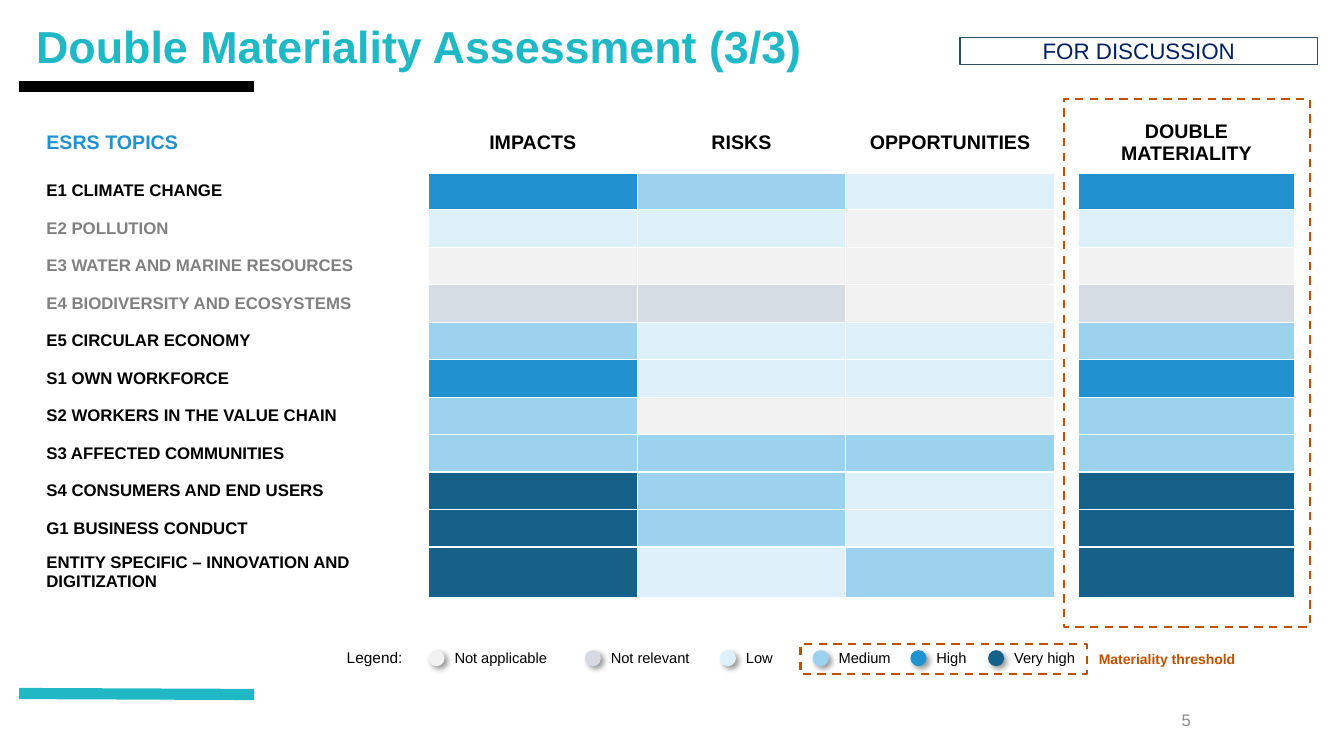
from dataclasses import dataclass
from enum import IntEnum

import pptx
import pptx.dml.color
import pptx.enum.dml
import pptx.enum.shapes
import pptx.enum.text
import pptx.oxml
import pptx.oxml.ns
import pptx.util
from lxml import etree

Inches = pptx.util.Inches
Pt = pptx.util.Pt
RGBColor = pptx.dml.color.RGBColor
Align = pptx.enum.text.PP_ALIGN
Anchor = pptx.enum.text.MSO_ANCHOR
Shape = pptx.enum.shapes.MSO_SHAPE
qn = pptx.oxml.ns.qn

TEAL = RGBColor(0x21, 0xB8, 0xC6)
BLACK = RGBColor(0, 0, 0)
WHITE = RGBColor(0xFF, 0xFF, 0xFF)
BLUE = RGBColor(0x21, 0x91, 0xCF)
GREY = RGBColor(0x80, 0x80, 0x80)
NUMBER_GREY = RGBColor(0x8C, 0x8C, 0x8C)
ORANGE = RGBColor(0xBF, 0x50, 0x00)
NAVY = RGBColor(0x00, 0x20, 0x60)
SLATE = RGBColor(0x28, 0x4F, 0x64)


class Level(IntEnum):
    NOT_APPLICABLE = 0
    NOT_RELEVANT = 1
    LOW = 2
    MEDIUM = 3
    HIGH = 4
    VERY_HIGH = 5


LEVEL_COLORS = {
    Level.NOT_APPLICABLE: RGBColor(0xF2, 0xF2, 0xF2),
    Level.NOT_RELEVANT: RGBColor(0xD6, 0xDC, 0xE4),
    Level.LOW: RGBColor(0xDE, 0xF0, 0xFA),
    Level.MEDIUM: RGBColor(0x9D, 0xD2, 0xEF),
    Level.HIGH: BLUE,
    Level.VERY_HIGH: RGBColor(0x16, 0x61, 0x8A),
}


@dataclass(frozen=True)
class Topic:
    name: str
    impacts: Level
    risks: Level
    opportunities: Level

    @property
    def double_materiality(self) -> Level:
        return max(self.impacts, self.risks, self.opportunities)


@dataclass(frozen=True)
class LegendEntry:
    level: Level
    label: str
    left: float
    width: float = 1.3


@dataclass(frozen=True)
class Style:
    size: float
    color: RGBColor = BLACK
    bold: bool = False
    align: Align = Align.LEFT


NA, NR, LOW, MEDIUM, HIGH, VERY_HIGH = Level
TOPICS = [
    Topic("E1 CLIMATE CHANGE", HIGH, MEDIUM, LOW),
    Topic("E2 POLLUTION", LOW, LOW, NA),
    Topic("E3 WATER AND MARINE RESOURCES", NA, NA, NA),
    Topic("E4 BIODIVERSITY AND ECOSYSTEMS", NR, NR, NA),
    Topic("E5 CIRCULAR ECONOMY", MEDIUM, LOW, LOW),
    Topic("S1 OWN WORKFORCE", HIGH, LOW, LOW),
    Topic("S2 WORKERS IN THE VALUE CHAIN", MEDIUM, NA, NA),
    Topic("S3 AFFECTED COMMUNITIES", MEDIUM, MEDIUM, MEDIUM),
    Topic("S4 CONSUMERS AND END USERS", VERY_HIGH, MEDIUM, LOW),
    Topic("G1 BUSINESS CONDUCT", VERY_HIGH, MEDIUM, LOW),
    Topic("ENTITY SPECIFIC – INNOVATION AND DIGITIZATION", VERY_HIGH, LOW, MEDIUM),
]
LEGEND = [
    LegendEntry(NA, "Not applicable", 4.25, 1.54),
    LegendEntry(NR, "Not relevant", 5.8),
    LegendEntry(LOW, "Low", 7.14),
    LegendEntry(MEDIUM, "Medium", 8.06),
    LegendEntry(HIGH, "High", 9.03),
    LegendEntry(VERY_HIGH, "Very high", 9.8),
]
HEADINGS = ["ESRS TOPICS", "", "IMPACTS", "RISKS", "OPPORTUNITIES", "", "DOUBLE MATERIALITY"]
COLUMN_WIDTHS = [3.65, 0.23, 2.07, 2.07, 2.07, 0.23, 2.14]
ROW_HEIGHTS = [0.59] + [3.72 / 10] * 10 + [0.47]
DOT = 0.16


def write(frame, text: str, style: Style):
    paragraph = frame.paragraphs[0]
    paragraph.alignment = style.align
    font = paragraph.font
    font.name, font.size, font.bold = "Arial", Pt(style.size), style.bold
    font.color.rgb = style.color
    if text:
        paragraph.add_run().text = text
    else:
        etree.SubElement(paragraph._p, qn("a:endParaRPr"), sz=str(int(style.size * 100)))
    return paragraph


def add_text(shapes, text: str, left: float, top: float, width: float, height: float,
             style: Style, anchor: Anchor = Anchor.TOP):
    box = shapes.add_textbox(Inches(left), Inches(top), Inches(width), Inches(height))
    box.text_frame.word_wrap = True
    box.text_frame.vertical_anchor = anchor
    return write(box.text_frame, text, style)


def add_bar(page, top: float, end_top: float, color: RGBColor) -> None:
    bar = page.shapes.add_connector(pptx.enum.shapes.MSO_CONNECTOR.STRAIGHT,
                                    Inches(0.19), Inches(top), Inches(2.52), Inches(end_top))
    bar.line.color.rgb, bar.line.width = color, Pt(8)
    etree.SubElement(bar._element.spPr, qn("a:effectLst"))


def add_frame(page, left: float, top: float, width: float, height: float,
              color: RGBColor, weight: float, dashed: bool = True):
    frame = page.shapes.add_shape(Shape.RECTANGLE, Inches(left), Inches(top),
                                  Inches(width), Inches(height))
    frame.shadow.inherit = False
    frame.fill.background()
    frame.line.color.rgb, frame.line.width = color, Pt(weight)
    if dashed:
        frame.line.dash_style = pptx.enum.dml.MSO_LINE.DASH
    return frame


def set_borders(cell, top: float, bottom: float) -> None:
    properties = cell._tc.get_or_add_tcPr()
    weights = {"a:lnL": 1, "a:lnR": 1, "a:lnT": top, "a:lnB": bottom}
    for position, (tag, weight) in enumerate(weights.items()):
        line = etree.Element(qn(tag), w=str(Pt(weight)))
        fill = etree.SubElement(line, qn("a:solidFill"))
        etree.SubElement(fill, qn("a:srgbClr"), val=str(WHITE))
        properties.insert(position, line)


def fill_cell(cell, text: str, style: Style, row: int, level: Level | None = None) -> None:
    cell.vertical_anchor = Anchor.MIDDLE
    write(cell.text_frame, text, style)
    if level is None:
        cell.fill.background()
    else:
        cell.fill.solid()
        cell.fill.fore_color.rgb = LEVEL_COLORS[level]
    set_borders(cell, top=3 if row == 1 else 1, bottom=3 if row == 0 else 1)


def add_assessment(page) -> None:
    table = page.shapes.add_table(len(ROW_HEIGHTS), len(COLUMN_WIDTHS), Inches(0.36), Inches(1.12),
                                  Inches(sum(COLUMN_WIDTHS)), Inches(sum(ROW_HEIGHTS))).table
    table.horz_banding = False
    for column, width in zip(table.columns, COLUMN_WIDTHS):
        column.width = Inches(width)
    for row, height in zip(table.rows, ROW_HEIGHTS):
        row.height = Inches(height)
    for index, heading in enumerate(HEADINGS):
        style = Style(14, BLACK, True, Align.CENTER) if index else Style(14, BLUE, True)
        fill_cell(table.cell(0, index), heading, style, 0)
    for row, topic in enumerate(TOPICS, start=1):
        result = topic.double_materiality
        style = Style(12, BLACK if result >= MEDIUM else GREY, True)
        levels = [None, None, topic.impacts, topic.risks, topic.opportunities, None, result]
        for index, level in enumerate(levels):
            fill_cell(table.cell(row, index), "" if index else topic.name, style, row, level)


def add_dot(shapes, left: float, level: Level) -> None:
    dot = shapes.add_shape(Shape.OVAL, Inches(left), Inches(6.45), Inches(DOT), Inches(DOT))
    dot.shadow.inherit = False
    dot.fill.solid()
    dot.fill.fore_color.rgb = LEVEL_COLORS[level]
    dot.line.fill.background()
    effects = dot._element.spPr.find(qn("a:effectLst"))
    shadow = etree.SubElement(effects, qn("a:outerShdw"), blurRad=str(Pt(4)), dist=str(Pt(3)),
                              dir=str(45 * 60000), algn="tl", rotWithShape="0")
    color = etree.SubElement(shadow, qn("a:srgbClr"), val=str(BLACK))
    etree.SubElement(color, qn("a:alpha"), val="40000")


def add_legend(page) -> None:
    shapes = page.shapes.add_group_shape().shapes
    add_text(shapes, "Legend:", 3.34, 6.38, 3.92, 0.29, Style(11))
    for entry in LEGEND:
        add_dot(shapes, entry.left, entry.level)
        add_text(shapes, entry.label, entry.left + DOT, 6.39, entry.width, 0.28, Style(10.5))


def main() -> None:
    deck = pptx.Presentation()
    deck.slide_width, deck.slide_height = Inches(13.33), Inches(7.5)
    page = deck.slides.add_slide(deck.slide_layouts[6])
    add_bar(page, 6.88, 6.89, TEAL)
    title = add_text(page.shapes, "Double Materiality Assessment (3/3)", 0.26, 0.11, 11.89, 0.76,
                     Style(32, TEAL, True), Anchor.MIDDLE)
    title.line_spacing = 0.9
    add_bar(page, 0.86, 0.86, BLACK)
    add_text(page.shapes, "5", 8.91, 6.94, 3, 0.4,
             Style(12, NUMBER_GREY, align=Align.RIGHT), Anchor.MIDDLE)
    add_assessment(page)
    add_frame(page, 10.55, 0.98, 2.44, 5.24, ORANGE, 1.5)
    add_legend(page)
    add_frame(page, 7.94, 6.39, 2.84, 0.3, ORANGE, 1.5)
    add_text(page.shapes, "Materiality threshold", 10.8, 6.4, 2.46, 0.27, Style(10, ORANGE, True))
    status = add_frame(page, 9.52, 0.37, 3.55, 0.27, SLATE, 1, dashed=False)
    write(status.text_frame, "FOR DISCUSSION", Style(16, NAVY, align=Align.CENTER))
    deck.save("out.pptx")


if __name__ == "__main__":
    main()
